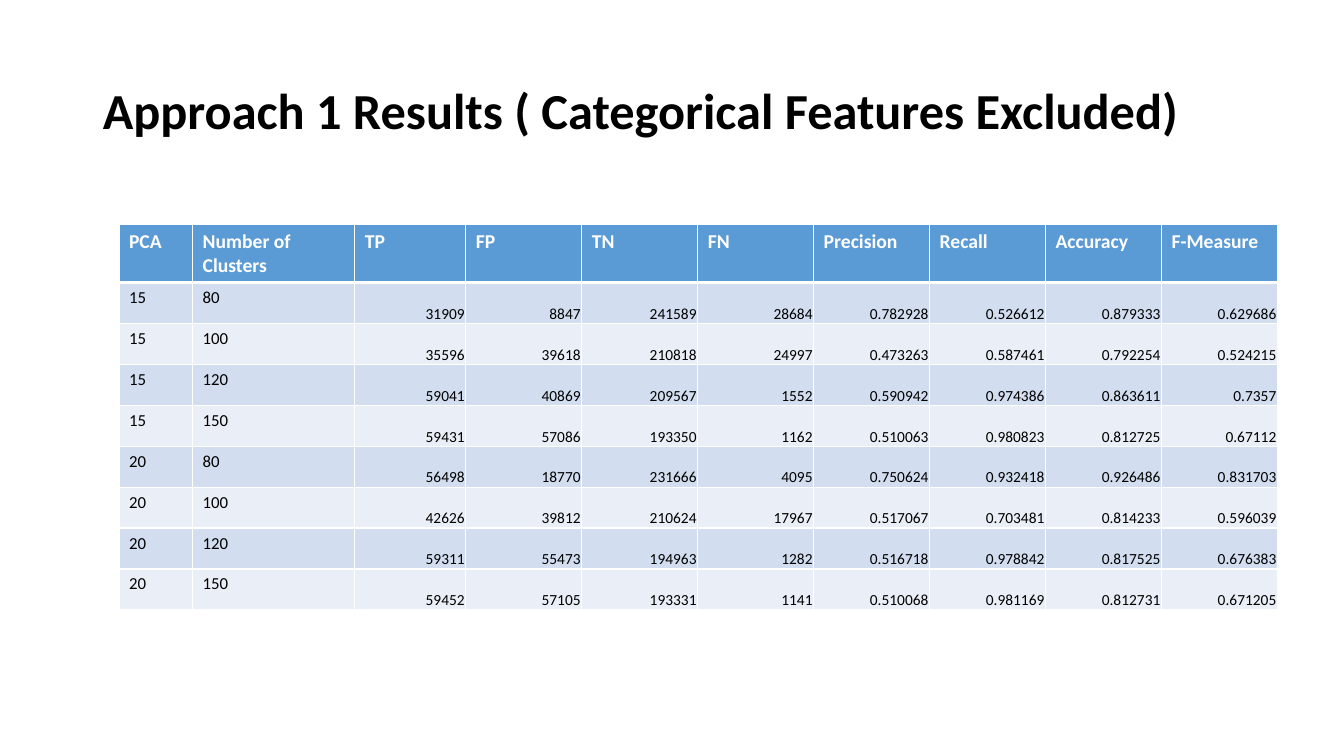
import pptx
import pptx.dml.color
import pptx.enum.text
import pptx.oxml
import pptx.oxml.ns
import pptx.util
from pptx.util import Inches

COLORS = {"header": "5B9BD5", "odd": "D2DEEF", "even": "EAEFF7",
          "white": "FFFFFF", "black": "000000"}
ALIGN = pptx.enum.text.PP_ALIGN
ANCHOR = pptx.enum.text.MSO_ANCHOR

# Font formats by role
FONTS = {
    "title": {"name": "Calibri", "size": pptx.util.Pt(36), "bold": True},
    "header": {"name": "Calibri", "size": pptx.util.Pt(14), "bold": True},
    "label": {"name": "Calibri", "size": pptx.util.Pt(12), "bold": False},
    "value": {"name": "Calibri", "size": pptx.util.Pt(11), "bold": False},
}
TEXT_CELL = {"vertical_anchor": ANCHOR.TOP}
VALUE_CELL = {
    "vertical_anchor": ANCHOR.BOTTOM, "margin_left": Inches(0.01),
    "margin_top": Inches(0.01), "margin_right": Inches(0.01),
    "margin_bottom": Inches(0),
}

HEADERS = ["PCA", "Number of Clusters", "TP", "FP", "TN", "FN",
           "Precision", "Recall", "Accuracy", "F-Measure"]
RESULTS = [
    "15 80 31909 8847 241589 28684 0.782928 0.526612 0.879333 0.629686",
    "15 100 35596 39618 210818 24997 0.473263 0.587461 0.792254 0.524215",
    "15 120 59041 40869 209567 1552 0.590942 0.974386 0.863611 0.7357",
    "15 150 59431 57086 193350 1162 0.510063 0.980823 0.812725 0.67112",
    "20 80 56498 18770 231666 4095 0.750624 0.932418 0.926486 0.831703",
    "20 100 42626 39812 210624 17967 0.517067 0.703481 0.814233 0.596039",
    "20 120 59311 55473 194963 1282 0.516718 0.978842 0.817525 0.676383",
    "20 150 59452 57105 193331 1141 0.510068 0.981169 0.812731 0.671205",
]
LABEL_COLUMNS = 2
COLUMN_WIDTHS = [0.73, 1.61, 1.1] + [1.15] * 7
TABLE_HEIGHT, HEADER_HEIGHT = 3.82, 0.57


def rgb(name):
    return pptx.dml.color.RGBColor.from_string(COLORS[name])


def apply(target, formats):
    for name, value in formats.items():
        setattr(target, name, value)


def write(para, text, role, color, align=ALIGN.LEFT):
    para.alignment = align
    span = para.add_run()
    span.text = text
    apply(span.font, FONTS[role])
    span.font.color.rgb = rgb(color)


def add_borders(cell, widths):
    properties = cell._tc.get_or_add_tcPr()
    for side, width in widths.items():
        properties.append(pptx.oxml.parse_xml(
            f'<a:ln{side} {pptx.oxml.ns.nsdecls("a")} w="{pptx.util.Pt(width)}">'
            f'<a:solidFill><a:srgbClr val="{COLORS["white"]}"/></a:solidFill>'
            f'</a:ln{side}>'))


def fill_cell(cell, row, column, text):
    is_header = row == 0
    is_value = not is_header and column >= LABEL_COLUMNS
    role = "header" if is_header else "value" if is_value else "label"
    # The rule under the header is thicker and shared with the first result row
    add_borders(cell, {"L": 1, "R": 1, "T": 3 if row == 1 else 1,
                       "B": 3 if is_header else 1})
    cell.fill.solid()
    cell.fill.fore_color.rgb = rgb(
        "header" if is_header else "odd" if row % 2 else "even")
    apply(cell, VALUE_CELL if is_value else TEXT_CELL)
    write(cell.text_frame.paragraphs[0], text, role,
          "white" if is_header else "black",
          ALIGN.RIGHT if is_value else ALIGN.LEFT)


def add_title(page, text):
    box = page.shapes.title
    apply(box, {"left": Inches(0.92), "top": Inches(0.4),
                "width": Inches(11.5), "height": Inches(1.45)})
    apply(box.text_frame, {"vertical_anchor": ANCHOR.MIDDLE, "word_wrap": True})
    para = box.text_frame.paragraphs[0]
    para.line_spacing = 0.9
    write(para, text, "title", "black")


def add_results_table(page):
    rows = [HEADERS] + [line.split() for line in RESULTS]
    table = page.shapes.add_table(
        len(rows), len(HEADERS), Inches(1.18), Inches(2.23),
        Inches(sum(COLUMN_WIDTHS)), Inches(TABLE_HEIGHT)).table
    for column, width in zip(table.columns, COLUMN_WIDTHS):
        column.width = Inches(width)
    result_height = (TABLE_HEIGHT - HEADER_HEIGHT) / len(RESULTS)
    for r, texts in enumerate(rows):
        table.rows[r].height = Inches(result_height if r else HEADER_HEIGHT)
        for c, text in enumerate(texts):
            fill_cell(table.cell(r, c), r, c, text)


def main():
    deck = pptx.Presentation()
    deck.slide_width, deck.slide_height = Inches(13.33), Inches(7.5)
    page = deck.slides.add_slide(deck.slide_layouts.get_by_name("Title Only"))
    add_title(page, "Approach 1 Results ( Categorical Features Excluded)")
    add_results_table(page)
    deck.save("out.pptx")


if __name__ == "__main__":
    main()
